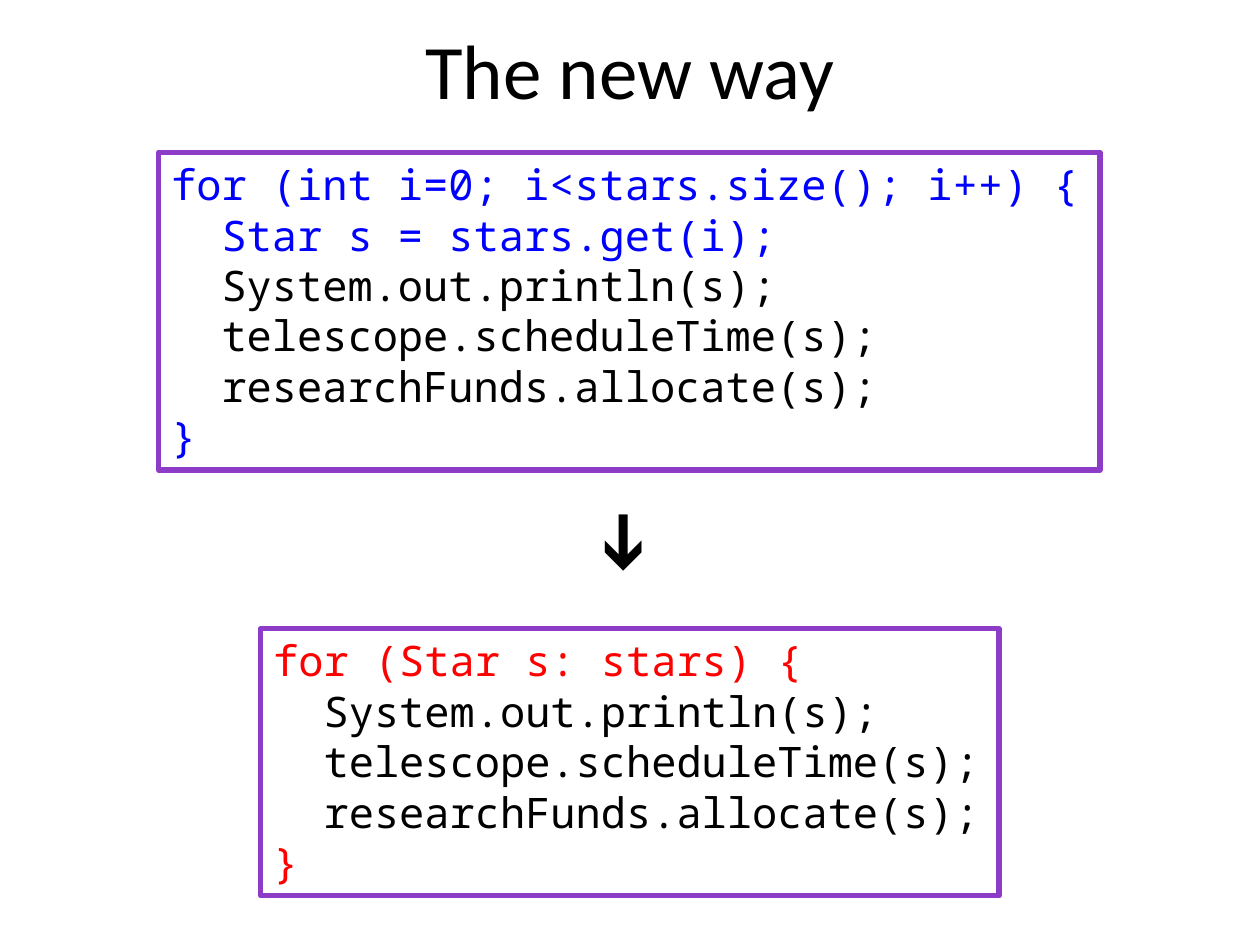
from pptx import Presentation
from pptx import util as u
from pptx.dml import color
from pptx.enum import shapes, text

INK = {"black": "000000", "old": "0000FF", "new": "FF0000", "edge": "8C3CC7"}
SANS, MONO = "Calibri", "Noto Sans Mono"
BODY = ["System.out.println(s);", "telescope.scheduleTime(s);",
        "researchFunds.allocate(s);"]


def rgb(name):
    return color.RGBColor.from_string(INK[name])


def place(shape, *box):
    shape.left, shape.top, shape.width, shape.height = map(u.Inches, box)


def add_run(para, words, size, face, ink="black"):
    run = para.add_run()
    run.text = words
    run.font.size = u.Pt(size)
    run.font.name = face
    run.font.color.rgb = rgb(ink)


def add_title(slide, words):
    title = slide.shapes.title
    place(title, 0.5, 0.12, 9, 0.85)
    frame = title.text_frame
    frame.vertical_anchor = text.MSO_ANCHOR.MIDDLE
    para = frame.paragraphs[0]
    para.alignment = text.PP_ALIGN.CENTER
    add_run(para, words, 44, SANS)


def add_code(slide, box, head, ink):
    """Framed loop: head lines and closing brace in ink, shared body in black."""
    frame = slide.shapes.add_shape(shapes.MSO_SHAPE.RECTANGLE,
                                   *map(u.Inches, box))
    frame.shadow.inherit = False
    frame.fill.background()
    frame.line.color.rgb = rgb("edge")
    frame.line.width = u.Pt(3)
    code = frame.text_frame
    code.word_wrap = False
    code.auto_size = text.MSO_AUTO_SIZE.SHAPE_TO_FIT_TEXT
    code.vertical_anchor = text.MSO_ANCHOR.TOP
    lines = [(line, ink) for line in head]
    lines += [("  " + line, "black") for line in BODY]
    lines.append(("}", ink))
    for i, (line, tint) in enumerate(lines):
        para = code.add_paragraph() if i else code.paragraphs[0]
        para.alignment = text.PP_ALIGN.LEFT
        add_run(para, line, 24, MONO, tint)


def add_arrow(slide, box):
    arrow = slide.shapes.add_textbox(*map(u.Inches, box))
    arrow.rotation = 90
    frame = arrow.text_frame
    frame.word_wrap = False
    frame.auto_size = text.MSO_AUTO_SIZE.SHAPE_TO_FIT_TEXT
    add_run(frame.paragraphs[0], "➔", 44, SANS)


def main():
    deck = Presentation()
    deck.slide_width, deck.slide_height = u.Inches(10), u.Inches(7.5)
    slide = deck.slides.add_slide(deck.slide_layouts[5])
    add_title(slide, "The new way")
    add_code(slide, (1.26, 1.21, 7.47, 2.52),
             ["for (int i=0; i<stars.size(); i++) {",
              "  Star s = stars.get(i);"], "old")
    add_code(slide, (2.07, 4.99, 5.86, 2.12), ["for (Star s: stars) {"], "new")
    add_arrow(slide, (4.57, 3.96, 0.86, 0.84))
    deck.save("out.pptx")


if __name__ == "__main__":
    main()
